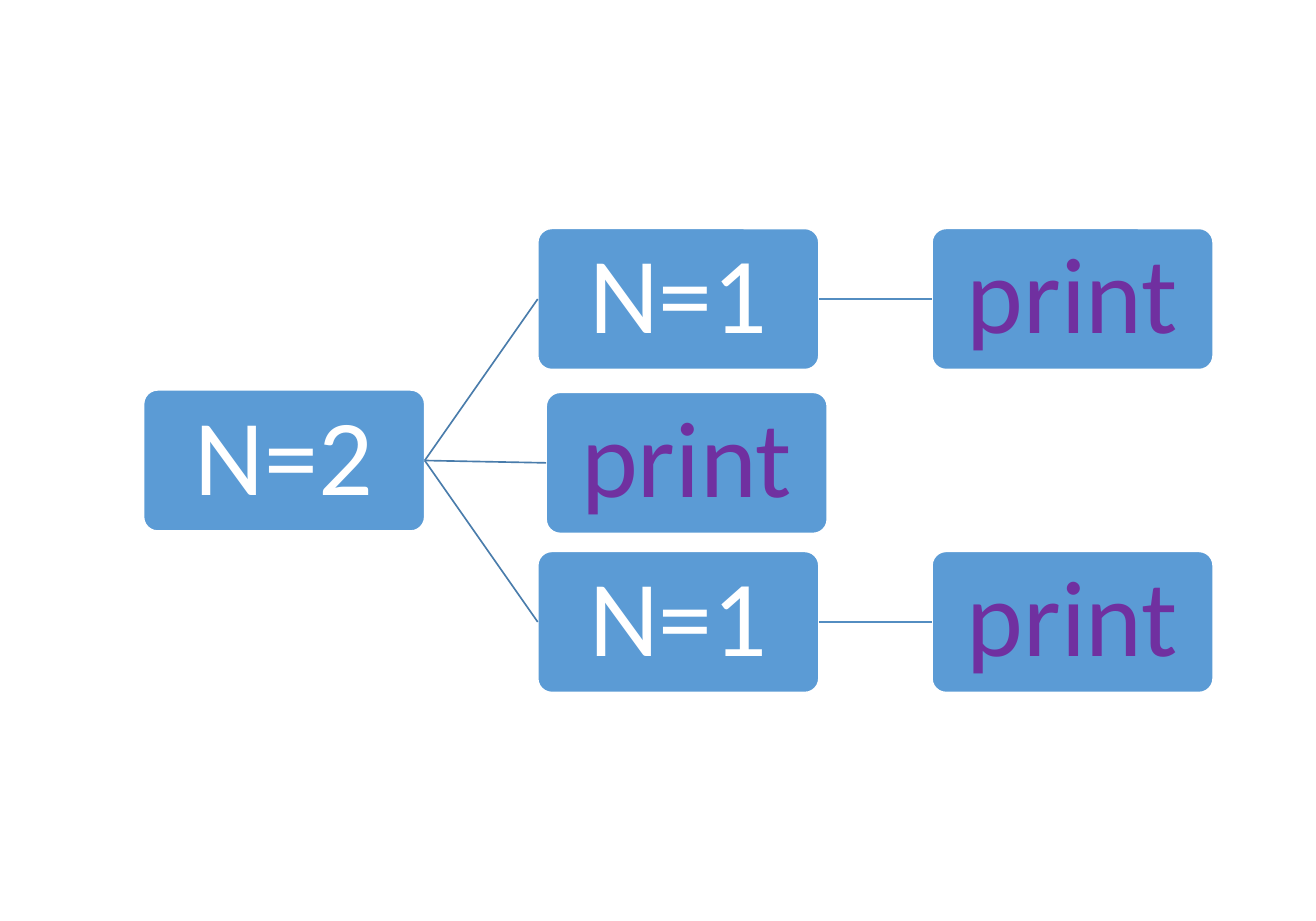
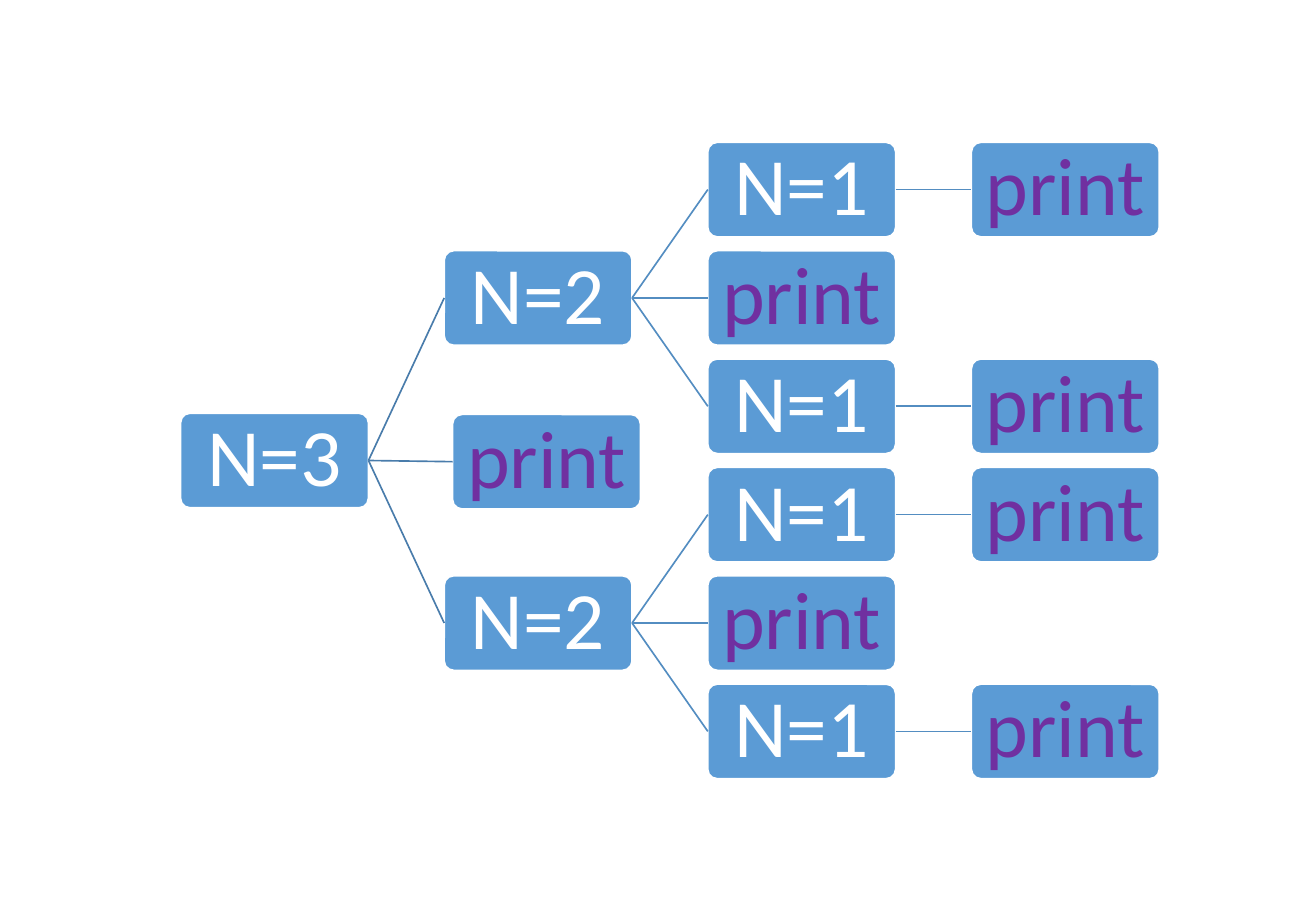
from dataclasses import dataclass

from lxml.etree import SubElement
from pptx import Presentation
from pptx.dml.color import RGBColor
from pptx.enum.shapes import MSO_CONNECTOR as Connector, MSO_SHAPE as Shape
from pptx.enum.text import MSO_ANCHOR as Anchor, PP_ALIGN as Align
from pptx.oxml.ns import qn
from pptx.util import Pt

PX = 9144  # 100 px to the inch
SLIDE_WIDTH, SLIDE_HEIGHT = 1100, 770
BLANK_LAYOUT = 6

NODE_FILL = RGBColor(0x5B, 0x9B, 0xD5)
WHITE = RGBColor(0xFF, 0xFF, 0xFF)
PRINT_TEXT = RGBColor(0x70, 0x30, 0xA0)
ROOT_LINK = RGBColor(0x49, 0x7C, 0xAB)
INNER_LINK = RGBColor(0x53, 0x8D, 0xC1)
FONT = "Calibri"

# Connection sites of a rounded rectangle
LEFT_SITE, RIGHT_SITE = 1, 3

# Rows between a call and each of its two recursive calls
SPREAD = {2: 1, 3: 1.5}


@dataclass
class Box:
    left: int
    top: int
    width: int
    height: int


@dataclass
class TreeStyle:
    node_width: int
    node_height: int
    font_size: int
    inset: int
    root_print_shift: tuple


def px(length):
    return round(length * PX)


def add_node(slide, left, top, text, style):
    node = slide.shapes.add_shape(
        Shape.ROUNDED_RECTANGLE, px(left), px(top),
        px(style.node_width), px(style.node_height))
    node.adjustments[0] = 0.1
    node.shadow.inherit = False
    node.fill.solid()
    node.fill.fore_color.rgb = NODE_FILL
    node.line.color.rgb = WHITE
    node.line.width = Pt(1)

    frame = node.text_frame
    frame.text = text
    frame.word_wrap = True
    frame.vertical_anchor = Anchor.MIDDLE
    frame.margin_left = frame.margin_right = px(style.inset)
    frame.margin_top = frame.margin_bottom = px(style.inset)
    paragraph = frame.paragraphs[0]
    paragraph.alignment = Align.CENTER
    paragraph.line_spacing = 0.9
    font = paragraph.runs[0].font
    font.name = FONT
    font.size = Pt(style.font_size)
    font.color.rgb = PRINT_TEXT if text == "print" else WHITE
    return node


def add_link(slide, parent, child, color):
    link = slide.shapes.add_connector(Connector.STRAIGHT, 0, 0, 0, 0)
    link.begin_connect(parent, RIGHT_SITE)
    link.end_connect(child, LEFT_SITE)
    link.line.color.rgb = color
    link.line.width = Pt(1)
    SubElement(link._element.spPr, qn("a:effectLst"))


def add_call_tree(slide, box, calls, style):
    """Fill the box with the recursive calls that start at N=calls."""
    last_row = 2 * sum(SPREAD[n] for n in range(2, calls + 1))
    column_step = (box.width - style.node_width) / calls
    row_step = (box.height - style.node_height) / last_row

    def place(text, column, row, parent=None):
        left = box.left + column * column_step
        top = box.top + row * row_step
        if text == "print" and column == 1:
            left += style.root_print_shift[0]
            top += style.root_print_shift[1]
        node = add_node(slide, left, top, text, style)
        if parent is not None:
            add_link(slide, parent, node, ROOT_LINK if column == 1 else INNER_LINK)
        return node

    def place_call(n, column, row, parent=None):
        node = place(f"N={n}", column, row, parent)
        if n > 1:
            place_call(n - 1, column + 1, row - SPREAD[n], node)
        place("print", column + 1, row, node)
        if n > 1:
            place_call(n - 1, column + 1, row + SPREAD[n], node)

    place_call(calls, 0, last_row / 2)


def main():
    presentation = Presentation()
    presentation.slide_width = px(SLIDE_WIDTH)
    presentation.slide_height = px(SLIDE_HEIGHT)

    trees = [
        (2, Box(120, 191, 894, 388), TreeStyle(235, 118, 65, 5, (7, 2))),
        (3, Box(151, 119, 818, 532), TreeStyle(157, 79, 49, 3, (7, 1))),
    ]
    for calls, box, style in trees:
        slide = presentation.slides.add_slide(presentation.slide_layouts[BLANK_LAYOUT])
        add_call_tree(slide, box, calls, style)

    presentation.save("out.pptx")


if __name__ == "__main__":
    main()
